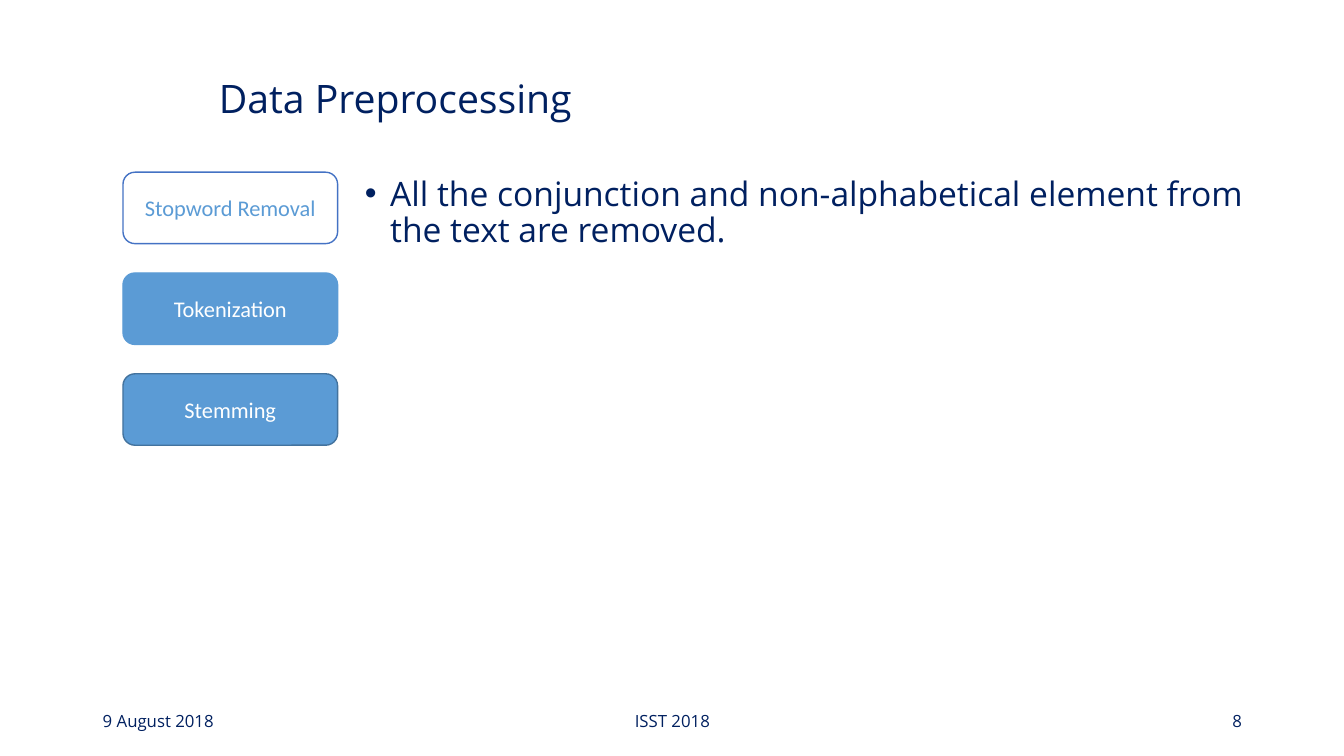
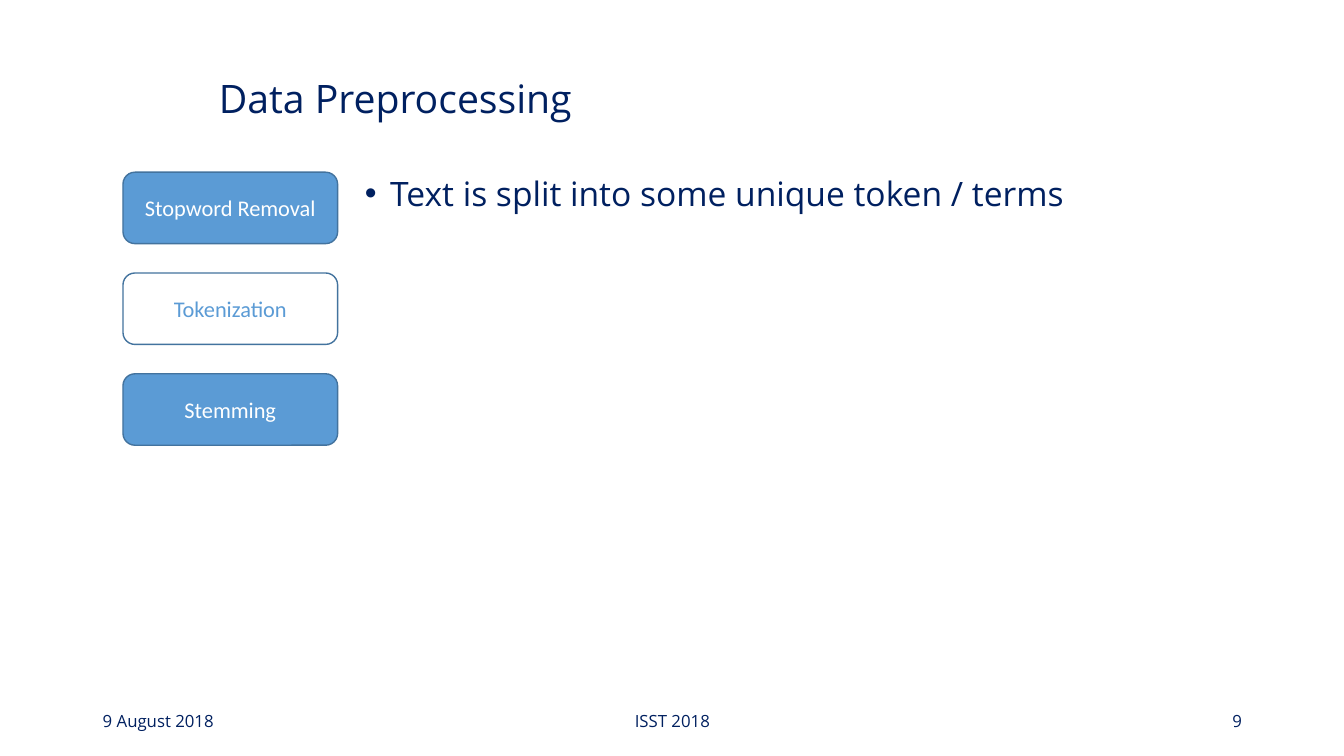
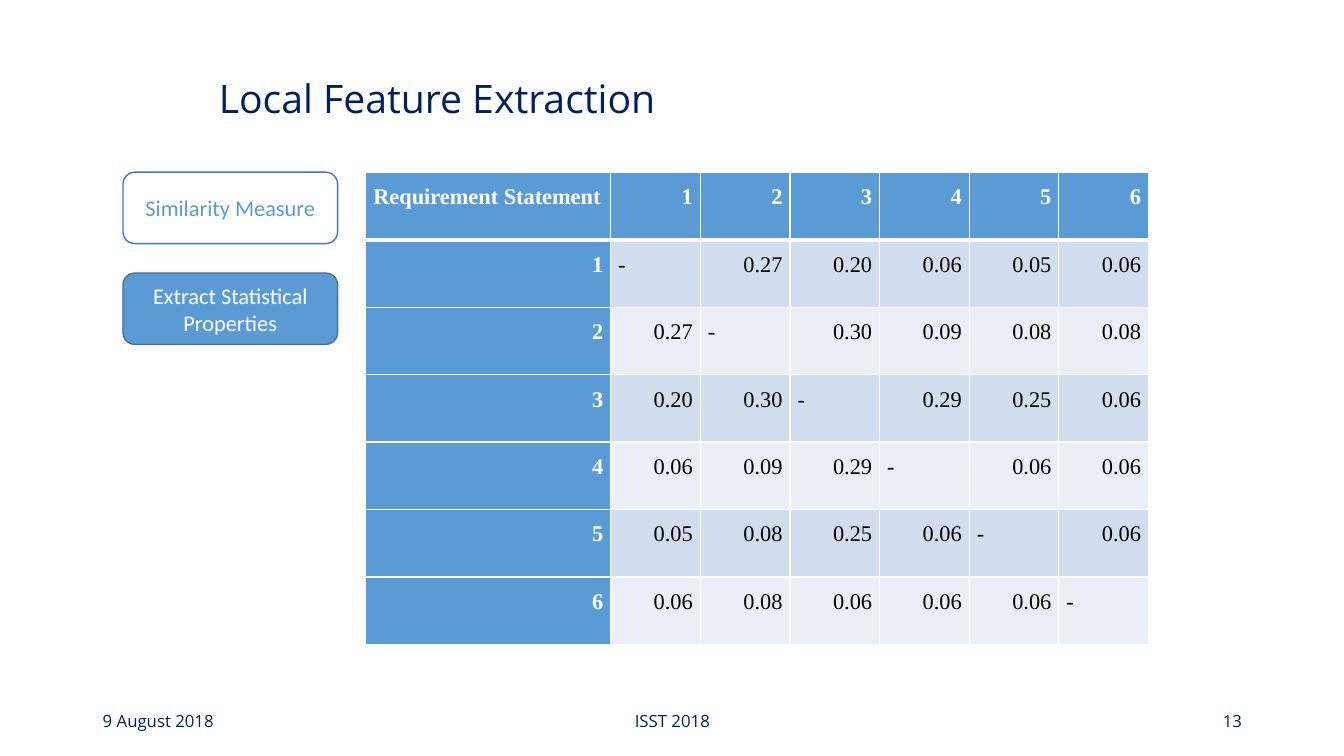
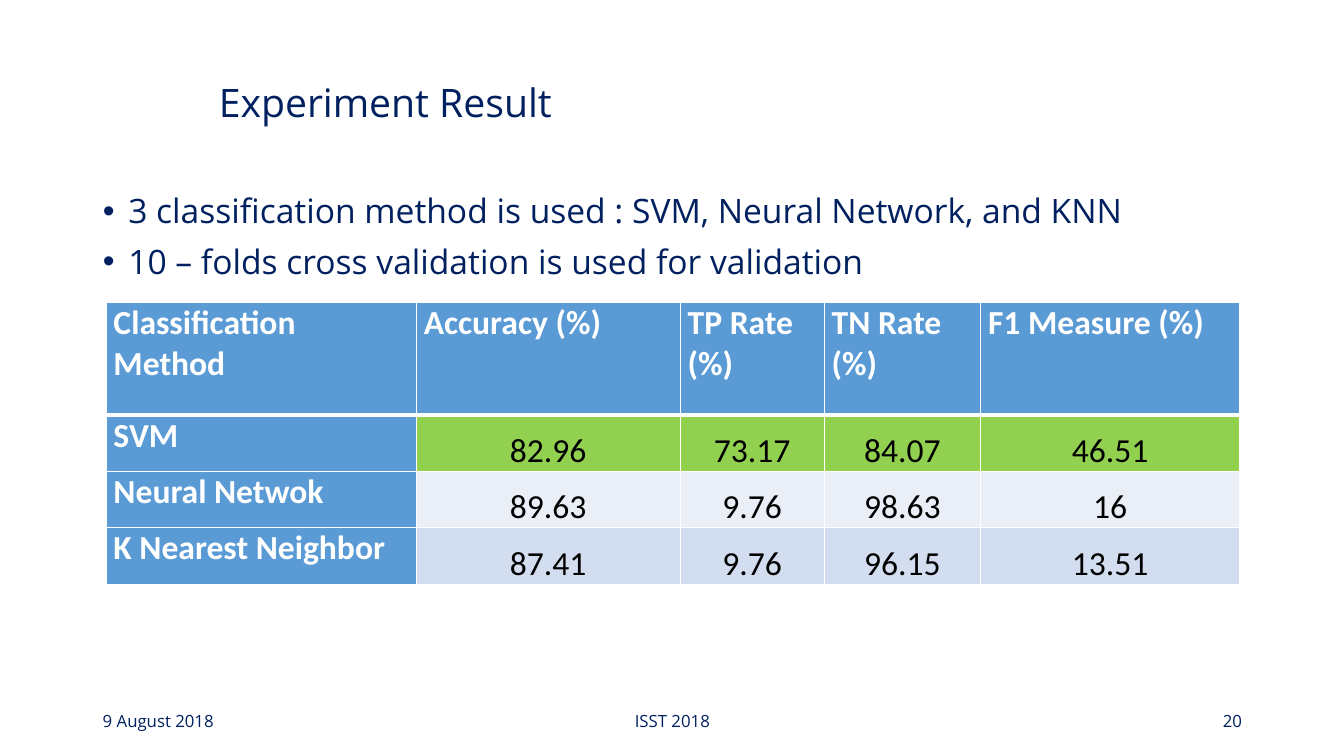
import pptx
import pptx.dml.color
import pptx.enum.shapes
import pptx.enum.text
import pptx.oxml
import pptx.oxml.ns
import pptx.util

Cm = pptx.util.Cm
Pt = pptx.util.Pt
ALIGN = pptx.enum.text.PP_ALIGN
ANCHOR = pptx.enum.text.MSO_ANCHOR

COLORS = {
    "navy": "002060",
    "blue": "5B9BD5",
    "edge": "43739E",
    "active_edge": "4472C4",
    "band_dark": "D2DEEF",
    "band_light": "EAEFF7",
    "best": "92D050",
    "white": "FFFFFF",
    "black": "000000",
}
HEADING_FONT, LABEL_FONT, MATRIX_FONT = "Open Sans", "Calibri", "Times New Roman"

TITLE_BOX = (5.26, 1.35, 30.48, 2.36)
RESULT_TITLE_BOX = (5.26, 1.45, 30.48, 2.36)
STEPS_BOX = (3.1, 4.34, 5.41, 1.8)
STEP_PITCH = 2.54
EXPLANATION_BOX = (8.94, 4.34, 23.24, 12.67)
FINDINGS_BOX = (2.34, 4.78, 31.42, 13.64)
FOOTER_TOP, FOOTER_HEIGHT = 17.65, 1.02


def rgb(name):
    """Return the named palette colour."""
    return pptx.dml.color.RGBColor.from_string(COLORS[name])


def place(part, box):
    """Move a part to a box of left, top, width and height in centimetres."""
    part.left, part.top, part.width, part.height = map(Cm, box)


def style(paragraph, font, size, color, align=ALIGN.LEFT, bold=False):
    """Format a whole paragraph."""
    paragraph.alignment = align
    paragraph.font.name = font
    paragraph.font.size = Pt(size)
    paragraph.font.bold = bold
    paragraph.font.color.rgb = rgb(color)


def add_title(slide, wording, box):
    """Fill and place the title placeholder."""
    title = slide.shapes.title
    place(title, box)
    frame = title.text_frame
    frame.text = wording
    frame.auto_size = pptx.enum.text.MSO_AUTO_SIZE.NONE
    frame.vertical_anchor = ANCHOR.MIDDLE
    style(frame.paragraphs[0], HEADING_FONT, 28, "navy")
    frame.paragraphs[0].line_spacing = 0.9


def add_footer(slide, number):
    """Add the date, the event and the slide number."""
    entries = [
        ("9 August 2018", 2.34, 7.62, ALIGN.LEFT),
        ("ISST 2018", 11.23, 11.43, ALIGN.CENTER),
        (str(number), 23.93, 7.62, ALIGN.RIGHT),
    ]
    for wording, left, width, align in entries:
        entry = slide.shapes.add_textbox(
            Cm(left), Cm(FOOTER_TOP), Cm(width), Cm(FOOTER_HEIGHT))
        frame = entry.text_frame
        frame.word_wrap = True
        frame.vertical_anchor = ANCHOR.MIDDLE
        frame.text = wording
        style(frame.paragraphs[0], HEADING_FONT, 12, "navy", align)


def add_bullets(slide, points, box):
    """Fill and place the body placeholder with bullet points."""
    body = slide.placeholders[1]
    place(body, box)
    frame = body.text_frame
    frame.text = "\n".join(points)
    frame.auto_size = pptx.enum.text.MSO_AUTO_SIZE.NONE
    for paragraph in frame.paragraphs:
        style(paragraph, HEADING_FONT, 24, "navy")
        paragraph.line_spacing = 0.9
        paragraph.space_before = Pt(10)
        properties = paragraph._p.get_or_add_pPr()
        properties.set("marL", str(Cm(0.64)))
        properties.set("indent", str(-Cm(0.64)))


def add_steps(slide, steps, active, box, edges):
    """Stack the step buttons downwards from the box, the active one in white."""
    left, top, width, height = box
    for index, (step, edge) in enumerate(zip(steps, edges)):
        button = slide.shapes.add_shape(
            pptx.enum.shapes.MSO_SHAPE.ROUNDED_RECTANGLE,
            Cm(left), Cm(top + index * STEP_PITCH), Cm(width), Cm(height))
        is_active = index == active
        button.shadow.inherit = False
        button.fill.solid()
        button.fill.fore_color.rgb = rgb("white" if is_active else "blue")
        button.line.color.rgb = rgb(edge)
        button.line.width = Pt(1)
        frame = button.text_frame
        frame.word_wrap = True
        frame.vertical_anchor = ANCHOR.MIDDLE
        frame.text = step
        style(frame.paragraphs[0], LABEL_FONT, 16,
              "blue" if is_active else "white", ALIGN.CENTER)


def add_borders(cell, bottom_width):
    """Draw white rules round a table cell."""
    properties = cell._tc.get_or_add_tcPr()
    widths = {"lnL": 1, "lnR": 1, "lnT": 1, "lnB": bottom_width}
    for side, width in widths.items():
        properties.append(pptx.oxml.parse_xml(
            f'<a:{side} {pptx.oxml.ns.nsdecls("a")} w="{Pt(width)}"><a:solidFill>'
            f'<a:srgbClr val="{COLORS["white"]}"/></a:solidFill></a:{side}>'))


def add_grid(slide, rows, origin, widths, heights, bands, font, size,
             align_of, line_spacing=None, value_anchor=ANCHOR.TOP):
    """Add a table with a blue header row and column and banded values."""
    table = slide.shapes.add_table(
        len(rows), len(widths), *map(Cm, origin),
        Cm(sum(widths)), Cm(sum(heights))).table
    for column, width in zip(table.columns, widths):
        column.width = Cm(width)
    for row, height in zip(table.rows, heights):
        row.height = Cm(height)
    for r, values in enumerate(rows):
        for c, value in enumerate(values):
            is_header = r == 0 or c == 0
            cell = table.cell(r, c)
            add_borders(cell, 3 if r == 0 else 1)
            cell.fill.solid()
            cell.fill.fore_color.rgb = rgb("blue" if is_header else bands[r - 1])
            cell.margin_left = cell.margin_right = Cm(0.19)
            cell.margin_top = cell.margin_bottom = 0
            cell.vertical_anchor = ANCHOR.TOP if is_header else value_anchor
            cell.text = value
            paragraph = cell.text_frame.paragraphs[0]
            style(paragraph, font, size, "white" if is_header else "black",
                  align_of(value, is_header), is_header)
            if line_spacing:
                paragraph.line_spacing = line_spacing


def start_slide(deck, layout, title, number, title_box=TITLE_BOX):
    """Add a slide with its title and footer."""
    slide = deck.slides.add_slide(deck.slide_layouts[layout])
    add_title(slide, title, title_box)
    add_footer(slide, number)
    return slide


def preprocessing_slide(deck, number, active, explanation, edges):
    """Explain one step of the data preprocessing."""
    slide = start_slide(deck, 1, "Data Preprocessing", number)
    add_bullets(slide, [explanation], EXPLANATION_BOX)
    add_steps(slide, ["Stopword Removal", "Tokenization", "Stemming"],
              active, STEPS_BOX, edges)


def similarity_slide(deck, number):
    """Show the similarity of each pair of requirement statements."""
    slide = start_slide(deck, 5, "Local Feature Extraction", number)
    add_steps(slide, ["Similarity Measure", "Extract Statistical Properties"],
              0, STEPS_BOX, ["active_edge", "edge"])
    similarities = [
        "- 0.27 0.20 0.06 0.05 0.06",
        "0.27 - 0.30 0.09 0.08 0.08",
        "0.20 0.30 - 0.29 0.25 0.06",
        "0.06 0.09 0.29 - 0.06 0.06",
        "0.05 0.08 0.25 0.06 - 0.06",
        "0.06 0.08 0.06 0.06 0.06 -",
    ]
    rows = [["Requirement Statement", *"123456"]]
    rows += [[str(n), *line.split()] for n, line in enumerate(similarities, 1)]
    add_grid(slide, rows, (9.22, 4.34), [6.17] + [2.26] * 6, [1.7] * 7,
             ["band_dark", "band_light"] * 3, MATRIX_FONT, 16,
             lambda value, is_header:
             ALIGN.RIGHT if value[0].isdigit() else ALIGN.LEFT,
             line_spacing=1.5)


def result_slide(deck, number):
    """Compare the classification methods."""
    slide = start_slide(deck, 1, "Experiment Result", number, RESULT_TITLE_BOX)
    add_bullets(slide, [
        "3 classification method is used : SVM, Neural Network, and KNN",
        "10 – folds cross validation is used for validation",
    ], FINDINGS_BOX)
    rows = [
        ["Classification Method", "Accuracy (%)", "TP Rate (%)",
         "TN Rate (%)", "F1 Measure (%)"],
        ["SVM", "82.96", "73.17", "84.07", "46.51"],
        ["Neural Netwok", "89.63", "9.76", "98.63", "16"],
        ["K Nearest Neighbor", "87.41", "9.76", "96.15", "13.51"],
    ]
    add_grid(slide, rows, (2.67, 7.62), [7.82, 6.65, 3.63, 3.94, 6.53],
             [2.84] + [1.42] * 3, ["best", "band_light", "band_dark"],
             LABEL_FONT, 24,
             lambda value, is_header: ALIGN.LEFT if is_header else ALIGN.CENTER,
             value_anchor=ANCHOR.BOTTOM)


def main():
    """Build and save the deck."""
    deck = pptx.Presentation()
    deck.slide_width, deck.slide_height = Cm(33.87), Cm(19.05)
    preprocessing_slide(
        deck, 8, 0,
        "All the conjunction and non-alphabetical element from the text are removed.",
        ["active_edge", "blue", "edge"])
    preprocessing_slide(
        deck, 9, 1, "Text is split into some unique token / terms", ["edge"] * 3)
    similarity_slide(deck, 13)
    result_slide(deck, 20)
    deck.save("out.pptx")


main()
